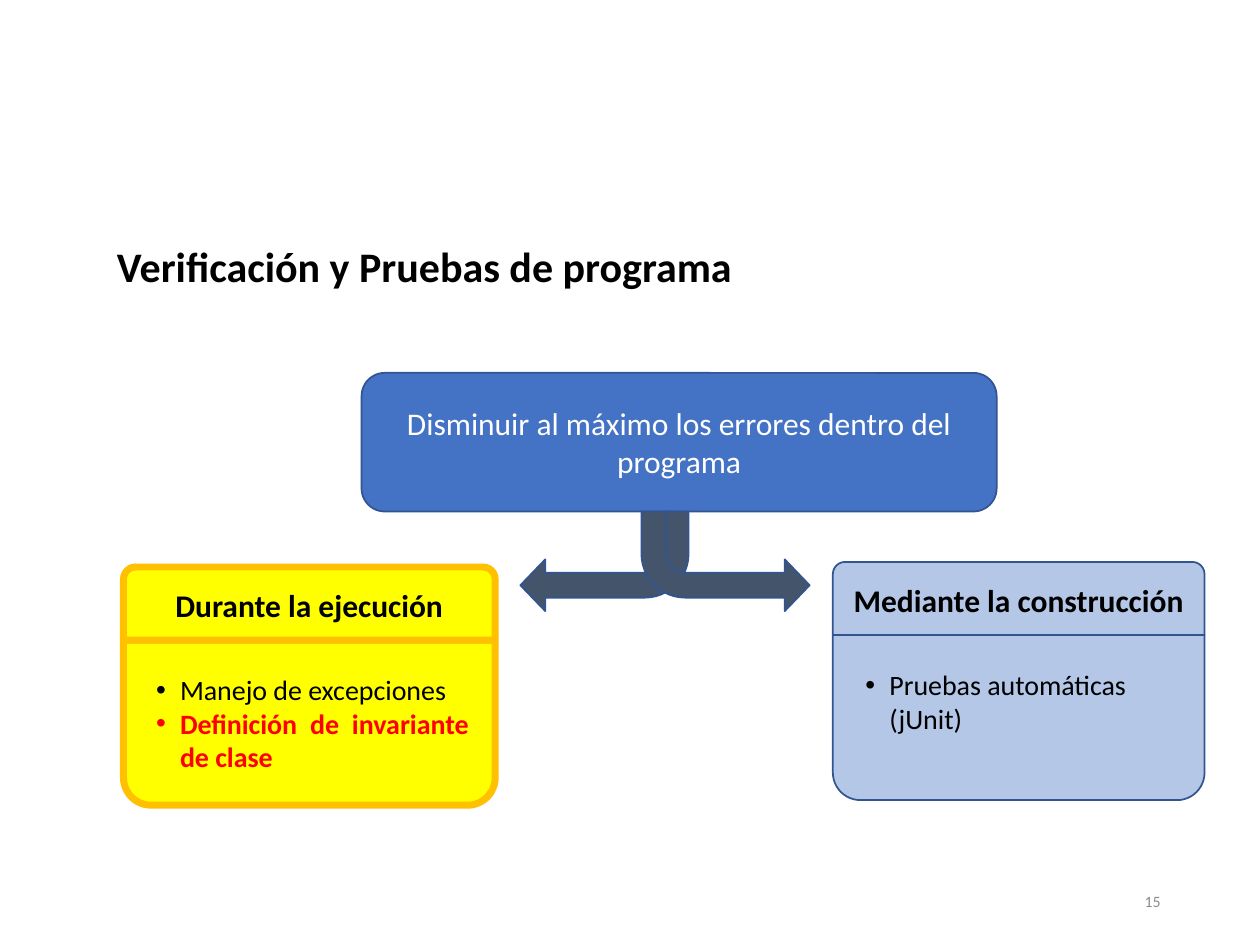
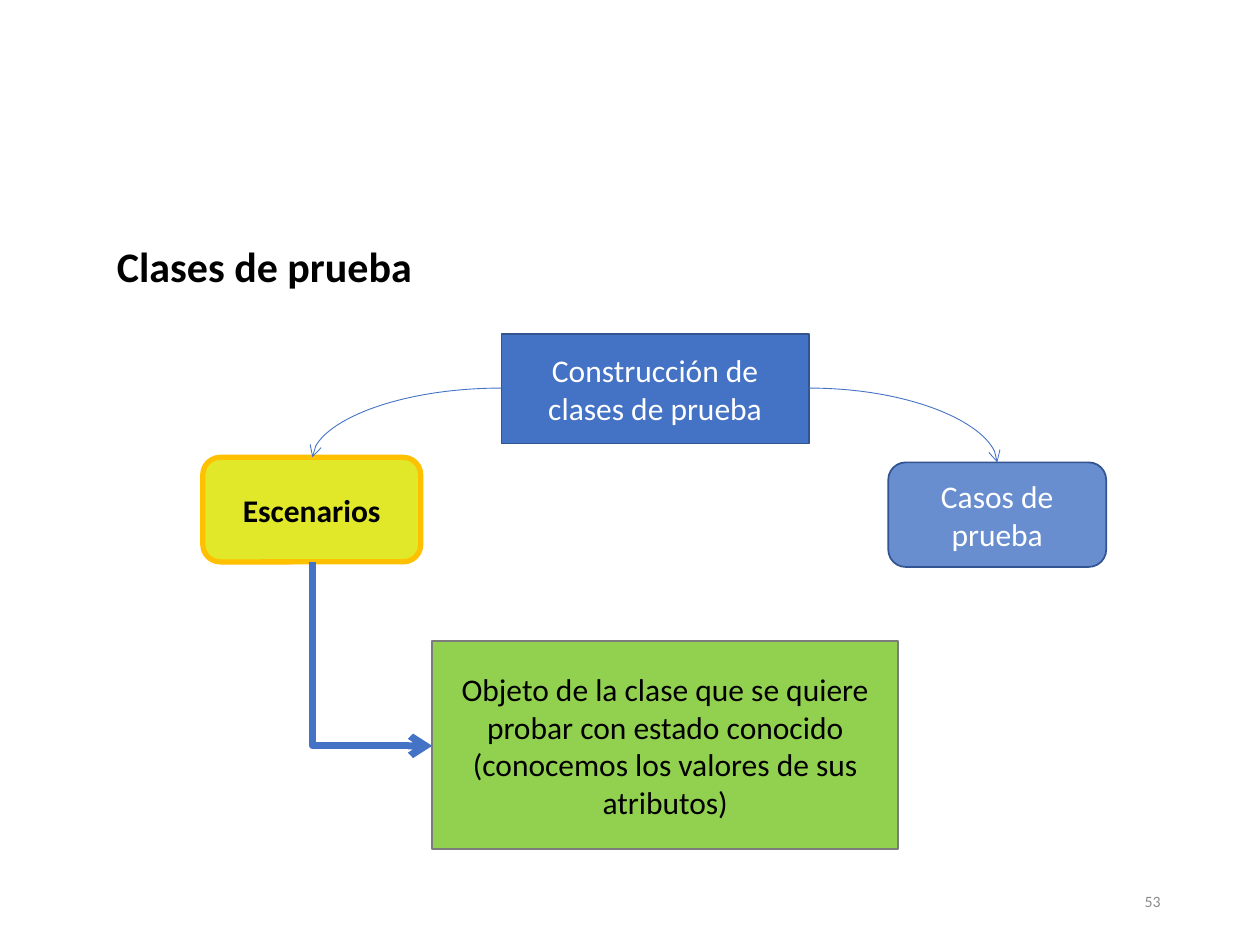
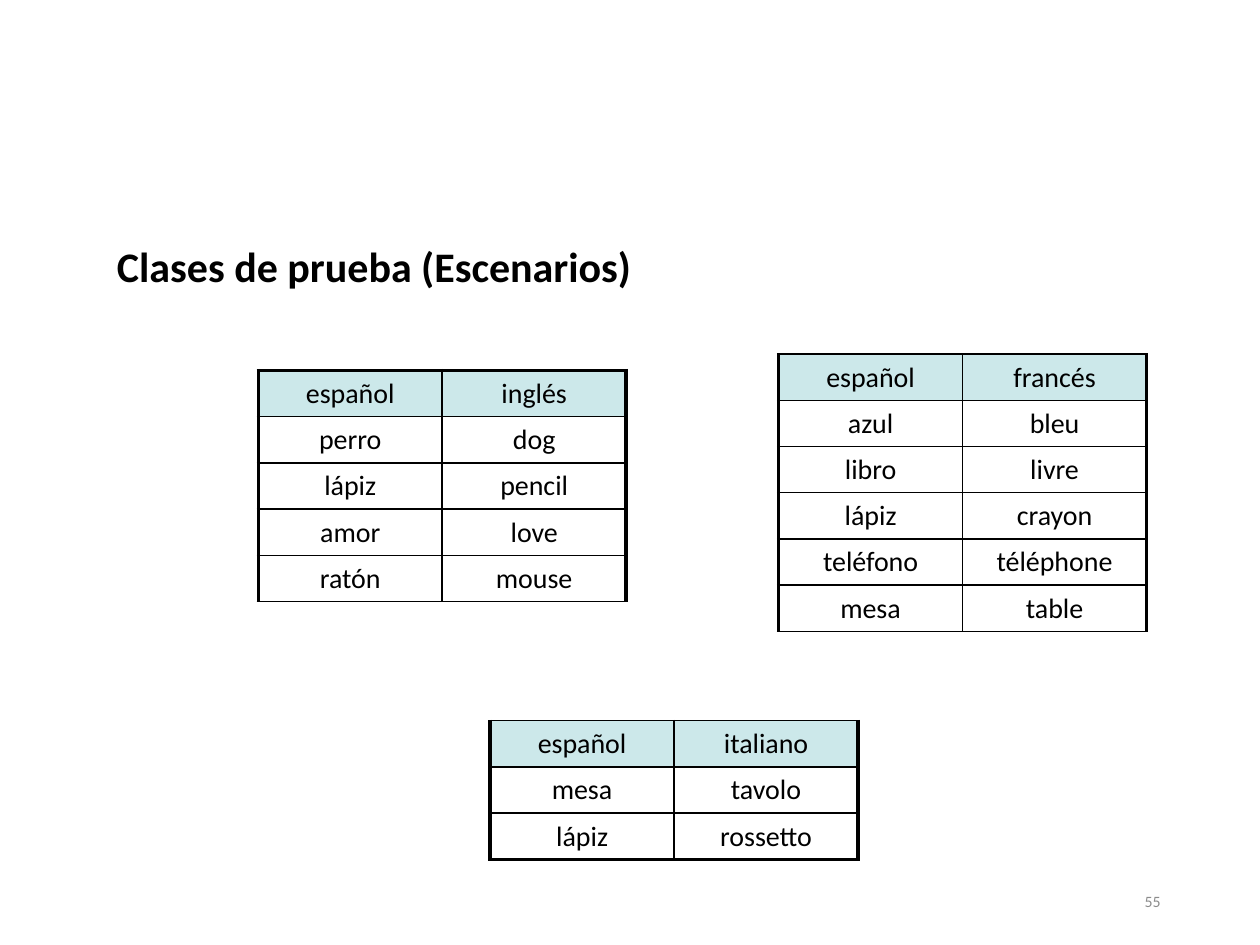
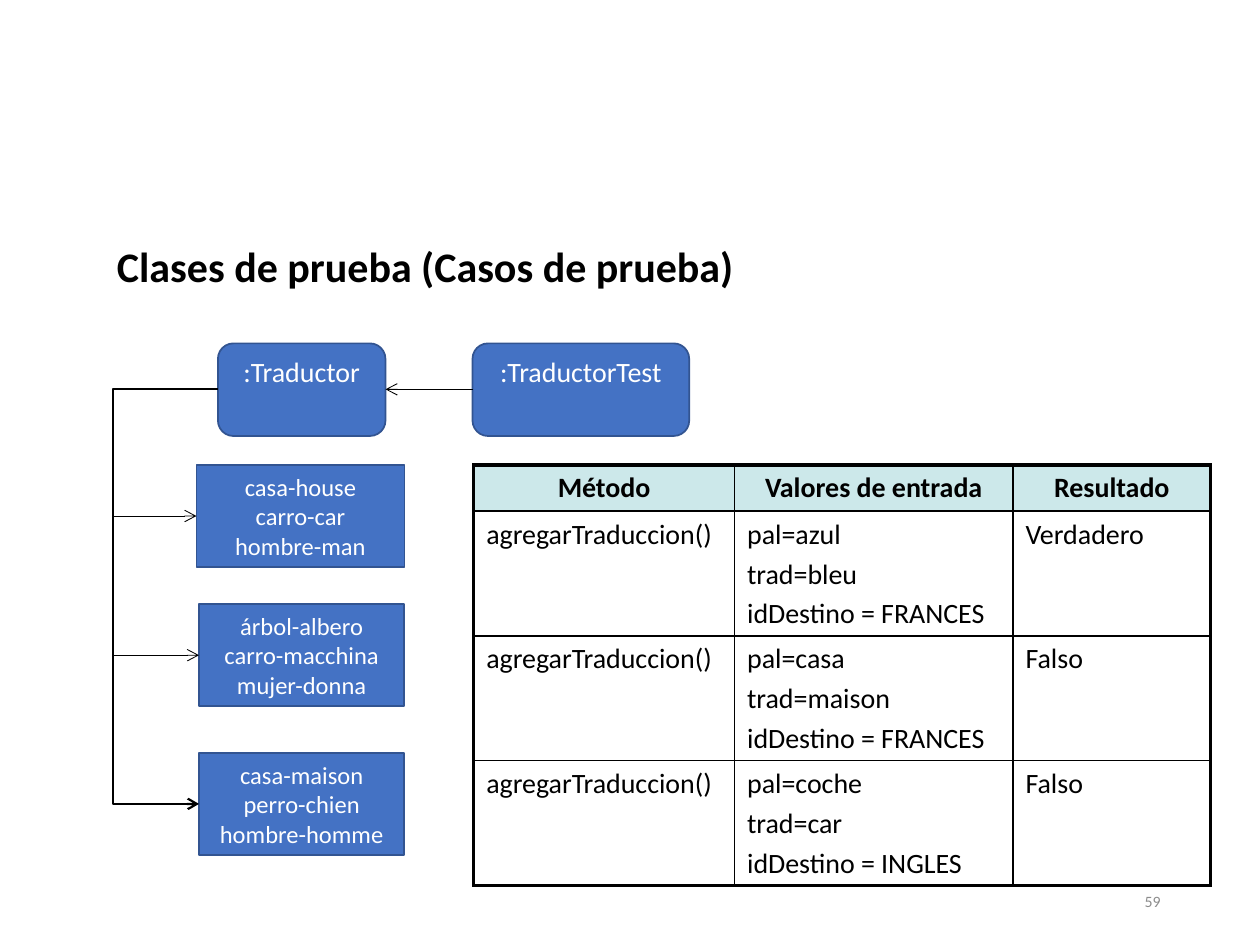
"""Build four slides on program verification and test classes."""
from lxml.etree import SubElement
from pptx import Presentation
from pptx.dml.color import RGBColor
from pptx.enum.shapes import MSO_CONNECTOR as LINK, MSO_SHAPE as KIND
from pptx.enum.text import MSO_ANCHOR as ANCHOR, PP_ALIGN as ALIGN
from pptx.oxml.ns import qn
from pptx.util import Inches, Pt

COLOURS = {
    "black": "000000", "white": "FFFFFF", "grey": "8C8C8C", "red": "FF0000",
    "blue": "4472C4", "navy": "325491", "slate": "44546A", "pale blue": "B4C7E7",
    "yellow": "FFFF00", "gold": "FFC000", "green": "92D050", "dark grey": "7C7C7C",
    "aqua": "CCE8EA",
}
RGB = {name: RGBColor.from_string(value) for name, value in COLOURS.items()}
FONT = "Calibri"

presentation = Presentation()
presentation.slide_width = Inches(10)
presentation.slide_height = Inches(7.5)
COLUMN = presentation.slide_width // 100
ROW = presentation.slide_height // 75


def write(frame, text, size=18, colour="white", bold=False, align=ALIGN.CENTER,
          anchor=ANCHOR.MIDDLE, gap=0, bullet=False):
    """Fill a text frame, one paragraph for each line of text."""
    frame.word_wrap = True
    frame.vertical_anchor = anchor
    for index, line in enumerate(text.split("\n")):
        paragraph = frame.add_paragraph() if index else frame.paragraphs[0]
        paragraph.alignment = align
        if index and gap:
            paragraph.space_before = Pt(gap)
        if bullet:
            properties = paragraph._p.get_or_add_pPr()
            properties.set("marL", str(Inches(0.19)))
            properties.set("indent", str(-Inches(0.19)))
            SubElement(properties, qn("a:buFont"), typeface="Arial")
            SubElement(properties, qn("a:buChar"), char="•")
        run = paragraph.add_run()
        run.text = line
        run.font.name = FONT
        run.font.size = Pt(size)
        run.font.bold = bold
        run.font.color.rgb = RGB[colour]


def add_box(slide, kind, at, text="", fill="blue", line="navy", width=1, alpha=100, **style):
    """Add a preset shape, or a text box when kind is None, placed in grid units."""
    left, top, wide, high = at
    place = int(left * COLUMN), int(top * ROW), int(wide * COLUMN), int(high * ROW)
    if kind is None:
        shape = slide.shapes.add_textbox(*place)
    else:
        shape = slide.shapes.add_shape(kind, *place)
        shape.shadow.inherit = False
        shape.fill.solid()
        shape.fill.fore_color.rgb = RGB[fill]
        shape.line.color.rgb = RGB[line]
        shape.line.width = Pt(width)
        if alpha < 100:
            colour = shape.element.spPr.find(qn("a:solidFill"))[0]
            SubElement(colour, qn("a:alpha"), val=str(alpha * 1000))
    if text:
        write(shape.text_frame, text, **style)
    return shape


slides = []
for title, number in [
    ("Verificación y Pruebas de programa", "15"),
    ("Clases de prueba", "53"),
    ("Clases de prueba (Escenarios)", "55"),
    ("Clases de prueba (Casos de prueba)", "59"),
]:
    slide = presentation.slides.add_slide(presentation.slide_layouts[6])
    add_box(slide, None, (8.3, 18.6, 53.5, 5), title, size=24, colour="black", bold=True,
            align=ALIGN.LEFT, anchor=ANCHOR.TOP)
    add_box(slide, None, (70.6, 69.5, 22.5, 4), number, size=9, colour="grey", align=ALIGN.RIGHT)
    slides.append(slide)
goals, classes, scenarios, cases = slides

add_box(goals, KIND.ROUNDED_RECTANGLE, (28.7, 29.6, 50.4, 11),
        "Disminuir al máximo los errores dentro del programa")
for left, flipped in [(41.3, False), (50.9, True)]:
    arrow = add_box(goals, KIND.BENT_ARROW, (left, 40.6, 13.35, 7.9), fill="slate")
    arrow.rotation = 180
    for index, value in enumerate([0.25, 0.26, 0.25, 0.44]):
        arrow.adjustments[index] = value
    if flipped:
        arrow.element.spPr.get_or_add_xfrm().set("flipH", "1")

for left, top, heading, points, fill, line, width in [
    (9.8, 45, "Durante la ejecución", "Manejo de excepciones\nDefinición de invariante de clase",
     "yellow", "gold", 4),
    (66.1, 44.6, "Mediante la construcción", "Pruebas automáticas (jUnit)", "pale blue", "navy", 1),
]:
    look = dict(fill=fill, line=line, width=width)
    body = add_box(goals, KIND.ROUND_2_SAME_RECTANGLE, (left, top + 5.8, 29.5, 13.1), **look)
    body.rotation = 180
    bullets = add_box(goals, None, (left + 1.6, top + 7.9, 26.8, 9.1), points, size=16,
                      colour="black", align=ALIGN.LEFT, anchor=ANCHOR.TOP, bullet=True)
    for paragraph in bullets.text_frame.paragraphs[1:]:
        paragraph.alignment = ALIGN.JUSTIFY
        paragraph.runs[0].font.bold = True
        paragraph.runs[0].font.color.rgb = RGB["red"]
    add_box(goals, KIND.ROUND_2_SAME_RECTANGLE, (left, top, 29.5, 5.8), heading,
            colour="black", bold=True, **look)

add_box(classes, KIND.RECTANGLE, (39.8, 26.5, 24.4, 8.7), "Construcción de clases de prueba")
add_box(classes, KIND.ROUNDED_RECTANGLE, (16.1, 36.3, 17.3, 8.3), alpha=80)
add_box(classes, KIND.ROUNDED_RECTANGLE, (16.1, 36.3, 17.3, 8.3), "Escenarios", fill="yellow",
        line="gold", width=3, alpha=80, colour="black", bold=True)
add_box(classes, KIND.ROUNDED_RECTANGLE, (70.5, 36.7, 17.3, 8.3), "Casos de prueba", alpha=80)
add_box(classes, KIND.RECTANGLE, (34.3, 50.9, 37, 16.5),
        "Objeto de la clase que se quiere probar con estado conocido "
        "(conocemos los valores de sus atributos)",
        fill="green", line="dark grey", colour="black")

for left, wide, name in [(17.3, 13.3, ":Traductor"), (37.5, 17.2, ":TraductorTest")]:
    add_box(cases, KIND.ROUNDED_RECTANGLE, (left, 27.25, wide, 7.35), name, size=16,
            anchor=ANCHOR.TOP)

links = [
    (classes, LINK.CURVE, "curvedConnector2", (39.8, 30.8), (24.8, 36.3), "blue", 0.5, 0),
    (classes, LINK.CURVE, "curvedConnector2", (64.2, 30.8), (79.15, 36.7), "blue", 0.5, 0),
    (classes, LINK.ELBOW, "bentConnector2", (36.85, 47.15), (22.25, 56.65), "blue", 4, 270),
    (cases, LINK.STRAIGHT, "line", (37.5, 30.9), (30.6, 30.9), "black", 0.5, 0),
]
for left, top, words, width in [
    (15.6, 36.9, "casa-house\ncarro-car\nhombre-man", 0.5),
    (15.8, 47.95, "árbol-albero\ncarro-macchina\nmujer-donna", 0.5),
    (15.8, 59.75, "casa-maison\nperro-chien\nhombre-homme", 1.25),
]:
    add_box(cases, KIND.RECTANGLE, (left, top, 32.1 - left, 8.1), words, size=14)
    links.append((cases, LINK.ELBOW, "bentConnector3", (17.3, 30.9), (left, top + 4.05),
                  "black", width, 0))

TRUNK = 9
for slide, kind, preset, begin, end, colour, width, turn in links:
    connector = slide.shapes.add_connector(
        kind, int(begin[0] * COLUMN), int(begin[1] * ROW), int(end[0] * COLUMN), int(end[1] * ROW))
    connector.line.color.rgb = RGB[colour]
    connector.line.width = Pt(width)
    properties = connector.element.spPr
    SubElement(properties.find(qn("a:ln")), qn("a:tailEnd"), type="arrow")
    SubElement(properties, qn("a:effectLst"))
    geometry = properties.find(qn("a:prstGeom"))
    geometry.set("prst", preset)
    if preset == "bentConnector3":
        bend = round((begin[0] - TRUNK) / (begin[0] - end[0]) * 100000)
        SubElement(geometry.find(qn("a:avLst")), qn("a:gd"), name="adj1", fmla=f"val {bend}")
    if turn:
        properties.find(qn("a:xfrm")).set("rot", str(turn * 60000))

THICK, THIN = 2.25, 1
WORD_COLUMNS, CASE_COLUMNS = [14.6, 14.6], [20.7, 22.1, 15.7]
for slide, left, top, widths, row_height, top_line, bottom_line, rows in [
    (scenarios, 20.5, 29.4, WORD_COLUMNS, 3.67, THICK, THIN, [
        ("español", "inglés"), ("perro", "dog"), ("lápiz", "pencil"),
        ("amor", "love"), ("ratón", "mouse")]),
    (scenarios, 61.8, 28.1, WORD_COLUMNS, 3.67, THIN, THIN, [
        ("español", "francés"), ("azul", "bleu"), ("libro", "livre"),
        ("lápiz", "crayon"), ("teléfono", "téléphone"), ("mesa", "table")]),
    (scenarios, 38.9, 57.2, WORD_COLUMNS, 3.67, THIN, THICK, [
        ("español", "italiano"), ("mesa", "tavolo"), ("lápiz", "rossetto")]),
    (cases, 37.6, 36.9, CASE_COLUMNS, 9.9, THICK, THICK, [
        ("Método", "Valores de entrada", "Resultado"),
        ("agregarTraduccion()", "pal=azul\ntrad=bleu\nidDestino = FRANCES", "Verdadero"),
        ("agregarTraduccion()", "pal=casa\ntrad=maison\nidDestino = FRANCES", "Falso"),
        ("agregarTraduccion()", "pal=coche\ntrad=car\nidDestino = INGLES", "Falso")]),
]:
    heights = [3.67] + [row_height] * (len(rows) - 1)
    table = slide.shapes.add_table(
        len(rows), len(widths), int(left * COLUMN), int(top * ROW),
        int(sum(widths) * COLUMN), int(sum(heights) * ROW)).table
    table.first_row = table.horz_banding = False
    for column, wide in zip(table.columns, widths):
        column.width = int(wide * COLUMN)
    for row_index, values in enumerate(rows):
        table.rows[row_index].height = int(heights[row_index] * ROW)
        header = row_index == 0
        for column_index, value in enumerate(values):
            cell = table.cell(row_index, column_index)
            borders = {
                "lnL": THIN if column_index else THICK,
                "lnR": THICK if column_index == len(widths) - 1 else THIN,
                "lnT": top_line if header else THIN,
                "lnB": bottom_line if row_index == len(rows) - 1 else THIN,
            }
            properties = cell._tc.get_or_add_tcPr()
            for side, width in borders.items():
                border = SubElement(properties, qn(f"a:{side}"), w=str(Pt(width)))
                paint = SubElement(border, qn("a:solidFill"))
                SubElement(paint, qn("a:srgbClr"), val=COLOURS["black"])
            if header:
                cell.fill.solid()
                cell.fill.fore_color.rgb = RGB["aqua"]
            else:
                cell.fill.background()
            centred = header or slide is scenarios
            write(cell.text_frame, value, size=16, colour="black", gap=3.2,
                  bold=header and slide is cases, anchor=ANCHOR.TOP,
                  align=ALIGN.CENTER if centred else ALIGN.LEFT)

presentation.save("out.pptx")
